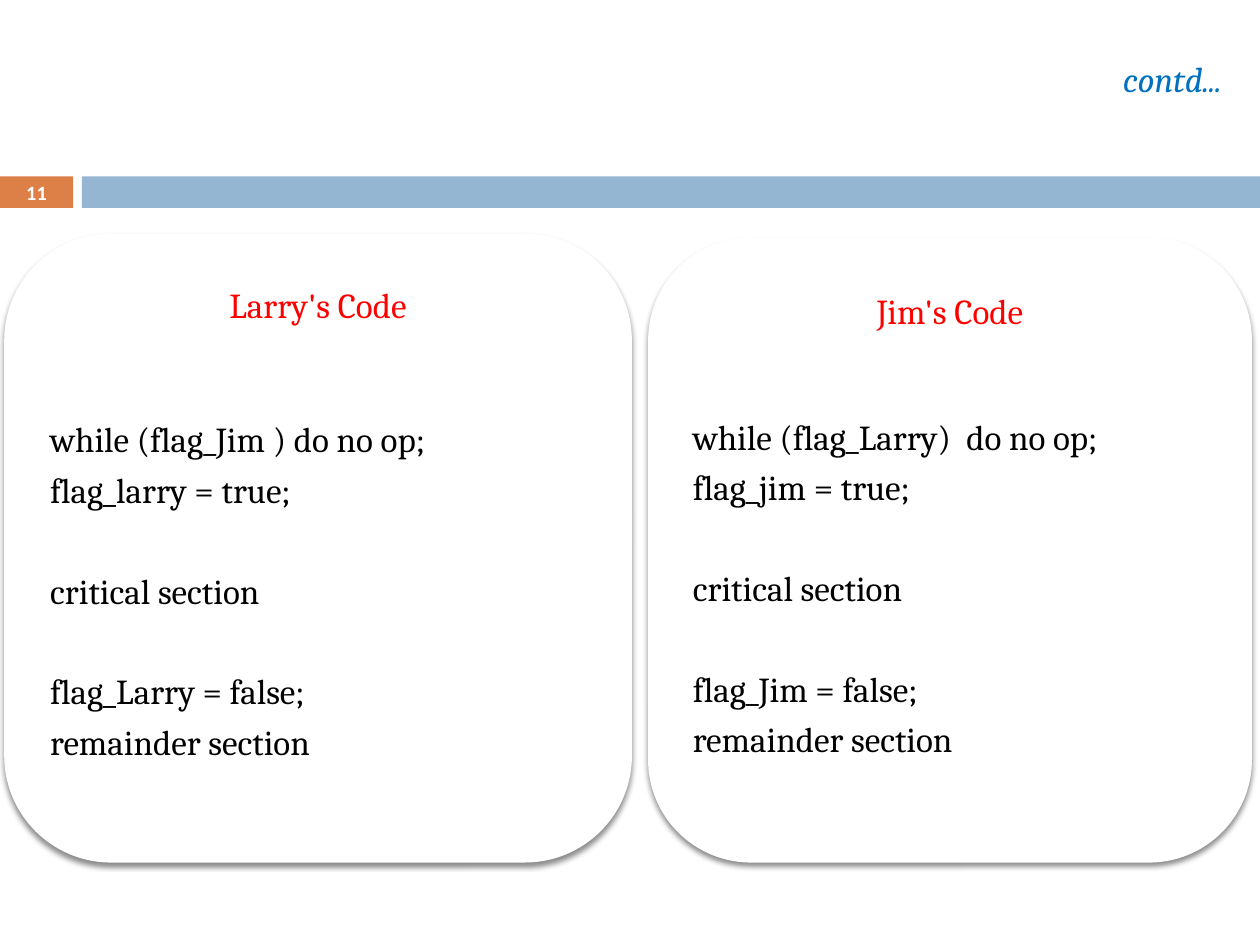
"""Build a slide that sets two threads' locking code side by side."""
import pptx
import pptx.dml.color
import pptx.enum.shapes
import pptx.enum.text
import pptx.oxml
import pptx.oxml.ns
import pptx.util

Inches, Pt = pptx.util.Inches, pptx.util.Pt
SHAPE = pptx.enum.shapes.MSO_SHAPE
ALIGN = pptx.enum.text.PP_ALIGN
COLORS = {"orange": "DD8047", "blue": "94B6D2", "white": "FFFFFF",
          "black": "000000", "red": "FF0000", "link": "0070C0"}
SERIF = {"name": "Cambria", "size": Pt(20)}
NUMBER = {"name": "Calibri", "size": Pt(11.6), "bold": True}
CONTD = {**SERIF, "italic": True, "bold": False}
CENTER = {"alignment": ALIGN.CENTER}
LINE = {"alignment": ALIGN.LEFT, "line_spacing": 1.2}
HEADING_GAP, BLOCK_GAP = Pt(48), Pt(28.8)


def rgb(name):
    """Return the named colour."""
    return pptx.dml.color.RGBColor.from_string(COLORS[name])


def set_all(obj, values):
    """Set attributes from a dict of format values."""
    for key, value in values.items():
        setattr(obj, key, value)


def write(p, text, color, font, layout):
    """Fill a paragraph with one formatted run."""
    set_all(p, layout)
    r = p.add_run()
    r.text = text
    set_all(r.font, font)
    r.font.color.rgb = rgb(color)


def frame(sp, bottom=0.05):
    """Prepare a shape's text frame with middle anchoring."""
    tf = sp.text_frame
    set_all(tf, {"word_wrap": True, "auto_size": pptx.enum.text.MSO_AUTO_SIZE.NONE,
                 "vertical_anchor": pptx.enum.text.MSO_ANCHOR.MIDDLE,
                 "margin_left": Inches(0.1), "margin_right": Inches(0.1),
                 "margin_top": Inches(0.05), "margin_bottom": Inches(bottom)})
    return tf


def add_box(s, kind, box, color):
    """Add a filled shape without line or shadow."""
    sp = s.shapes.add_shape(kind, *map(Inches, box))
    sp.shadow.inherit = False
    sp.fill.solid()
    sp.fill.fore_color.rgb = rgb(color)
    sp.line.fill.background()
    return sp


def add_shadow(sp):
    """Give a shape a soft shadow below it."""
    effects = sp._element.spPr.find(pptx.oxml.ns.qn("a:effectLst"))
    effects.append(pptx.oxml.parse_xml(
        f'<a:outerShdw {pptx.oxml.ns.nsdecls("a")} blurRad="{Pt(3)}" dist="{Pt(2.4)}"'
        f' dir="5400000" rotWithShape="0"><a:srgbClr val="{COLORS["black"]}">'
        '<a:alpha val="45000"/></a:srgbClr></a:outerShdw>'))


def add_code_card(s, box, heading, blocks, first_spacing):
    """Add a rounded card with a heading and spaced blocks of code."""
    sp = add_box(s, SHAPE.ROUNDED_RECTANGLE, box, "white")
    sp.line.color.rgb = rgb("white")
    sp.line.width = Pt(3.75)
    add_shadow(sp)
    tf = frame(sp, bottom=0.45)
    write(tf.paragraphs[0], heading, "red", SERIF, CENTER)
    for i, block in enumerate(blocks):
        for j, line in enumerate(block):
            layout = dict(LINE)
            if j == 0:
                layout["space_before"] = BLOCK_GAP if i else HEADING_GAP
            if i == j == 0:
                layout["line_spacing"] = first_spacing
            write(tf.add_paragraph(), line, "black", SERIF, layout)


def add_title(s, text):
    """Place the title at the top right."""
    sp = s.shapes.title
    set_all(sp, {"left": Inches(8.78), "top": Inches(0.42),
                 "width": Inches(1.05), "height": Inches(0.41)})
    write(frame(sp).paragraphs[0], text, "link", CONTD, CENTER)


def add_number(s, text):
    """Add the slide number over the orange band."""
    sp = s.shapes.add_textbox(*map(Inches, (0, 1.39, 0.58, 0.27)))
    write(frame(sp).paragraphs[0], text, "white", NUMBER, CENTER)


def main():
    """Build and save the slide."""
    prs = pptx.Presentation()
    prs.slide_width, prs.slide_height = Inches(10), Inches(7.5)
    s = prs.slides.add_slide(prs.slide_layouts[5])
    add_box(s, SHAPE.RECTANGLE, (0, 1.4, 0.58, 0.25), "orange")
    add_box(s, SHAPE.RECTANGLE, (0.65, 1.4, 9.35, 0.25), "blue")
    add_number(s, "11")
    add_code_card(s, (5.17, 1.91, 4.74, 4.91), "Jim's Code", [
        ["while (flag_Larry)  do no op;", "flag_jim = true;"],
        ["critical section"],
        ["flag_Jim = false;", "remainder section"]], 1.0)
    add_code_card(s, (0.06, 1.88, 4.93, 4.94), "Larry's Code", [
        ["while (flag_Jim ) do no op;", "flag_larry = true;"],
        ["critical section"],
        ["flag_Larry = false;", "remainder section"]], 1.2)
    add_title(s, "contd...")
    prs.save("out.pptx")


if __name__ == "__main__":
    main()
